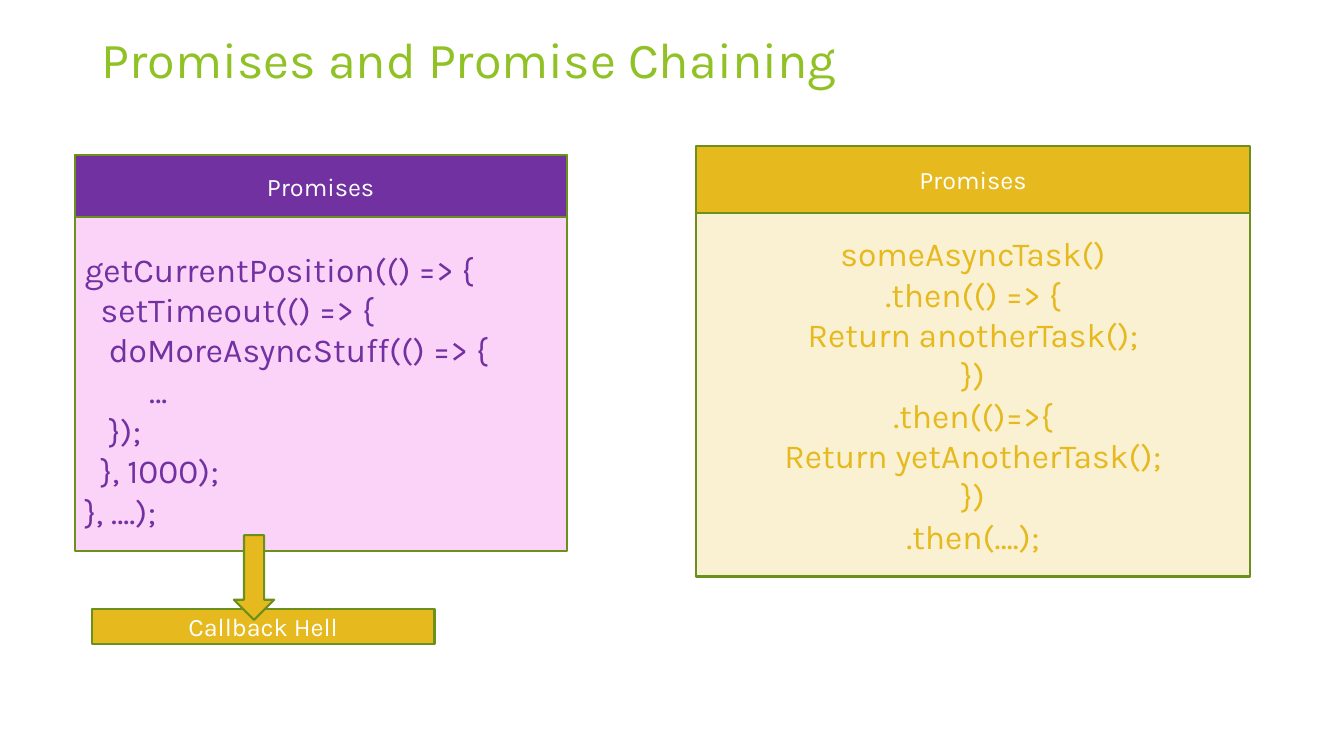
import pptx
import pptx.util
import pptx.dml.color
import pptx.enum.shapes
import pptx.enum.text
import pptx.oxml.ns
import lxml.etree

Inches = pptx.util.Inches
Pt = pptx.util.Pt
SHAPE = pptx.enum.shapes.MSO_SHAPE
ALIGN = pptx.enum.text.PP_ALIGN

COLORS = {"title": "90C226", "outline": "6B901C", "purple": "7131A1",
          "pink": "F470EE", "gold": "E6B91E", "cream": "FAF1D2", "white": "FFFFFF"}
TITLE = "Promises and Promise Chaining"
HEADING = "Promises"
CONSEQUENCE = "Callback Hell"
NESTED_CALLBACKS = [
    (0, "getCurrentPosition(() => {"),
    (2, "setTimeout(() => {"),
    (3, "doMoreAsyncStuff(() => {"),
    (8, "…"),
    (3, "});"),
    (2, "}, 1000);"),
    (0, "}, ….);"),
]
PROMISE_CHAIN = [(0, line) for line in (
    "someAsyncTask()", ".then(() => {", "Return anotherTask();", "})",
    ".then(()=>{", "Return yetAnotherTask();", "})", ".then(….);")]
INDENT_STEP = 0.08


def rgb(name):
    return pptx.dml.color.RGBColor.from_string(COLORS[name])


def write(holder, lines, size=18, color="white", align=ALIGN.CENTER, top=0.05):
    frame = holder.text_frame
    frame.word_wrap = True
    frame.vertical_anchor = pptx.enum.text.MSO_ANCHOR.MIDDLE
    frame.margin_top = Inches(top)
    for number, (indent, line) in enumerate(lines):
        paragraph = frame.add_paragraph() if number else frame.paragraphs[0]
        paragraph.alignment = align
        if indent:
            margin = Inches(indent * INDENT_STEP)
            paragraph._p.get_or_add_pPr().set("marL", str(margin))
        run = paragraph.add_run()
        run.text = line
        run.font.name = "Karla"
        run.font.size = Pt(size)
        run.font.color.rgb = rgb(color)


def draw(kind, place, fill, opacity=100):
    block = slide.shapes.add_shape(kind, *map(Inches, place))
    block.shadow.inherit = False
    block.fill.solid()
    block.fill.fore_color.rgb = rgb(fill)
    block.line.color.rgb = rgb("outline")
    block.line.width = Pt(1.5)
    if opacity < 100:
        qn = pptx.oxml.ns.qn
        tint = block._element.spPr.find(qn("a:solidFill")).find(qn("a:srgbClr"))
        lxml.etree.SubElement(tint, qn("a:alpha")).set("val", str(opacity * 1000))
    return block


deck = pptx.Presentation()
deck.slide_width, deck.slide_height = Inches(13.33), Inches(7.5)
slide = deck.slides.add_slide(deck.slide_layouts[6])

title = slide.shapes.add_textbox(*map(Inches, (0.91, 0.19, 9.4, 0.78)))
write(title, [(0, TITLE)], size=36, color="title", align=ALIGN.LEFT)

callbacks = draw(SHAPE.RECTANGLE, (0.74, 1.54, 4.88, 3.93), "pink", opacity=30)
write(callbacks, NESTED_CALLBACKS, size=24, color="purple", align=ALIGN.LEFT, top=0.77)

for place, fill, label in (
    ((0.74, 1.54, 4.88, 0.61), "purple", HEADING),
    ((0.91, 6.04, 3.4, 0.35), "gold", CONSEQUENCE),
    ((6.9, 1.45, 5.5, 0.66), "gold", HEADING),
):
    write(draw(SHAPE.RECTANGLE, place, fill), [(0, label)])

draw(SHAPE.DOWN_ARROW, (2.32, 5.31, 0.4, 0.84), "gold")

chain = draw(SHAPE.RECTANGLE, (6.9, 2.11, 5.5, 3.61), "cream")
write(chain, PROMISE_CHAIN, size=24, color="gold")

deck.save("out.pptx")
